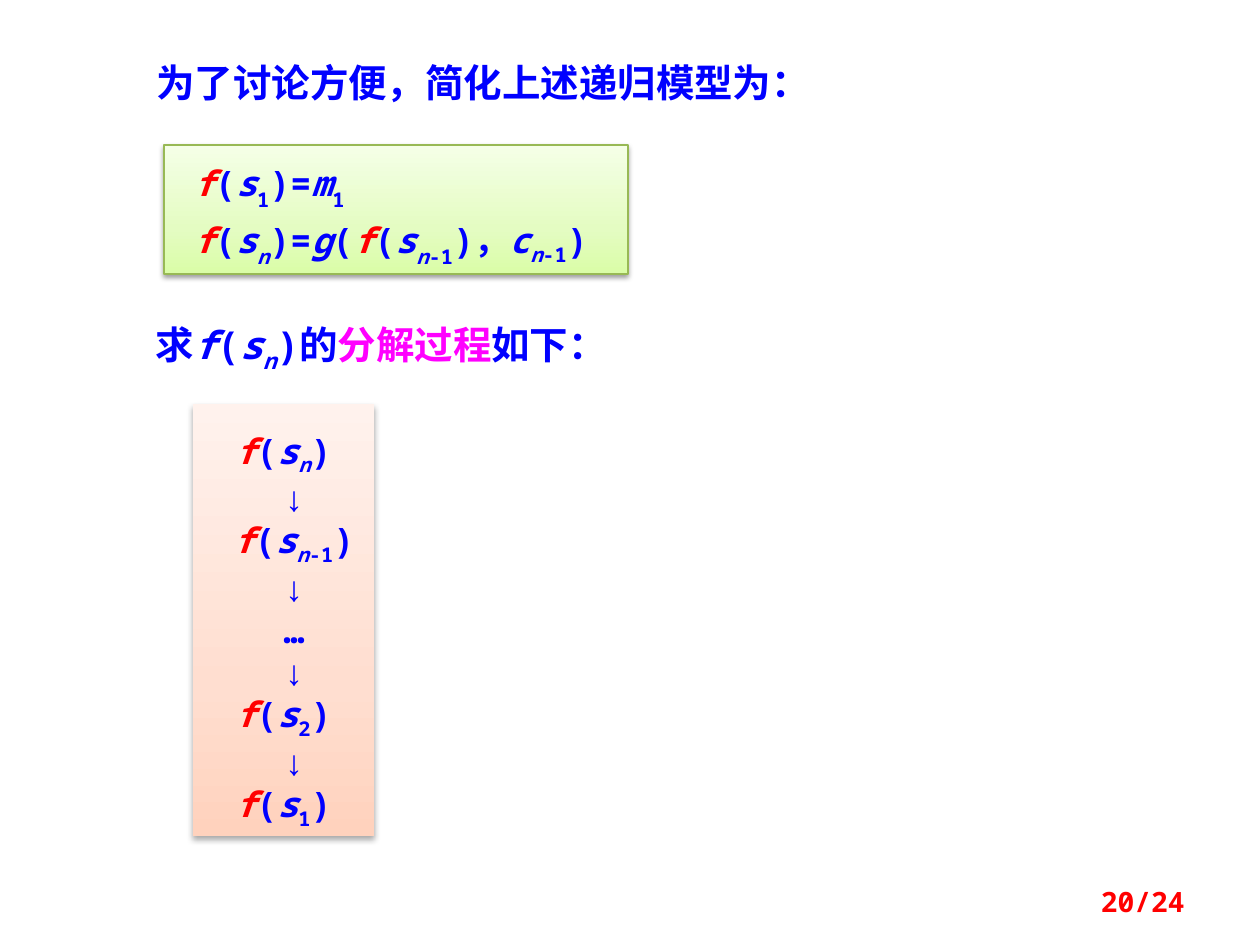
from copy import deepcopy

from lxml.etree import SubElement
from pptx import Presentation
from pptx.dml.color import RGBColor
from pptx.enum.shapes import MSO_SHAPE as SHAPE
from pptx.enum.text import MSO_ANCHOR as ANCHOR, PP_ALIGN as ALIGN
from pptx.oxml.ns import qn
from pptx.util import Pt

PX = 914400 / 126
FONT = "Noto Sans Mono"
BLUE = RGBColor(0x00, 0x00, 0xFF)
RED = RGBColor(0xFF, 0x00, 0x00)
MAGENTA = RGBColor(0xFF, 0x00, 0xFF)
GREEN_LINE = RGBColor(0x98, 0xB9, 0x55)
GREENS = [RGBColor(0xDA, 0xFD, 0xA7), RGBColor(0xE4, 0xFC, 0xC2), RGBColor(0xF5, 0xFF, 0xE7)]
ORANGES = [RGBColor(0xFF, 0xD2, 0xBD), RGBColor(0xFF, 0xDE, 0xD0), RGBColor(0xFF, 0xF2, 0xED)]
STOPS = [0, 0.35, 1]


def px(*values):
    return [round(v * PX) for v in values]


def plain(text, color=BLUE):
    return text, color, False, 0


def var(text, color=BLUE):
    return text, color, True, 0


def sub(index, drop):
    name, minus, offset = index.partition("-")
    runs = [(name, BLUE, name.isalpha(), drop)]
    return runs + [(minus + offset, BLUE, False, drop)] if minus else runs


def call(index, drop=-25, color=RED):
    return [var("f", color), plain("("), var("s"), *sub(index, drop), plain(")")]


def write(tf, paragraphs, size, align=ALIGN.LEFT, spacing=None, gap=0, bold=True):
    tf.word_wrap = True
    for i, runs in enumerate(paragraphs):
        p = tf.paragraphs[0] if i == 0 else tf.add_paragraph()
        p.alignment = align
        if spacing:
            p.line_spacing = spacing
        if i and gap:
            p.space_before = Pt(gap)
        p.font.name, p.font.size, p.font.bold = FONT, Pt(size), bold
        for text, color, italic, drop in runs:
            r = p.add_run()
            r.text = text
            r.font.color.rgb = color
            r.font.italic = italic
            if drop:
                r._r.get_or_add_rPr().set("baseline", str(drop * 1000))


def add_shadow(sp, opacity, blur, distance):
    sp.shadow.inherit = False
    effects = sp._element.spPr.find(qn("a:effectLst"))
    shadow = SubElement(effects, qn("a:outerShdw"), blurRad=str(Pt(blur)),
                        dist=str(Pt(distance)), dir="5400000", rotWithShape="0")
    color = SubElement(shadow, qn("a:srgbClr"), val="000000")
    SubElement(color, qn("a:alpha"), val=str(opacity * 1000))


def add_panel(s, box, colors, margins, shadow, line=None):
    sp = s.shapes.add_shape(SHAPE.RECTANGLE, *px(*box))
    sp.fill.gradient()
    sp.fill.gradient_angle = 90
    stops = sp._element.spPr.find(qn("a:gradFill")).find(qn("a:gsLst"))
    stops.append(deepcopy(stops[0]))
    for stop, position, color in zip(sp.fill.gradient_stops, STOPS, colors):
        stop.position = position
        stop.color.rgb = color
    if line:
        sp.line.color.rgb = line
        sp.line.width = Pt(0.75)
    else:
        sp.line.fill.background()
    add_shadow(sp, *shadow)
    tf = sp.text_frame
    tf.vertical_anchor = ANCHOR.TOP
    tf.margin_left, tf.margin_top, tf.margin_right, tf.margin_bottom = px(*margins)
    return tf


def add_text(s, box, runs, size, anchor=ANCHOR.TOP, **style):
    tf = s.shapes.add_textbox(*px(*box)).text_frame
    tf.vertical_anchor = anchor
    write(tf, [runs], size, **style)


def main():
    prs = Presentation()
    prs.slide_width, prs.slide_height = px(1260, 945)
    s = prs.slides.add_slide(prs.slide_layouts[6])

    model = add_panel(s, (164, 145, 464, 129), GREENS, (30, 20, 15, 20), (38, 3.1, 1.6), GREEN_LINE)
    base_case = [*call("1", -30), plain("="), var("m"), *sub("1", -30)]
    recursion = [*call("n", -30), plain("="), var("g"), plain("("), *call("n-1", -30),
                 plain("，"), var("c"), *sub("n-1", -25), plain(")")]
    write(model, [base_case, recursion], 20, spacing=0.8, gap=10)

    steps = add_panel(s, (193, 404, 181, 432), ORANGES, (13, 25, 13, 25), (32, 3.5, 2.2))
    arrow = [plain(" ↓")]
    write(steps, [call("n"), arrow, [plain(" "), *call("n-1")], arrow, [plain(" …")], arrow,
                  call("2"), arrow, call("1")], 20, align=ALIGN.CENTER)

    add_text(s, (113, 315, 536, 59),
             [plain("求"), *call("n", color=BLUE), plain("的"),
              plain("分解过程", MAGENTA), plain("如下：")], 22, align=ALIGN.CENTER)
    add_text(s, (144, 62, 774, 50), [plain("为了讨论方便，简化上述递归模型为：")], 22, spacing=0.8)
    add_text(s, (903, 876, 294, 50), [plain("20/24", RED)], 16, ANCHOR.MIDDLE, align=ALIGN.RIGHT)
    prs.save("out.pptx")


if __name__ == "__main__":
    main()
